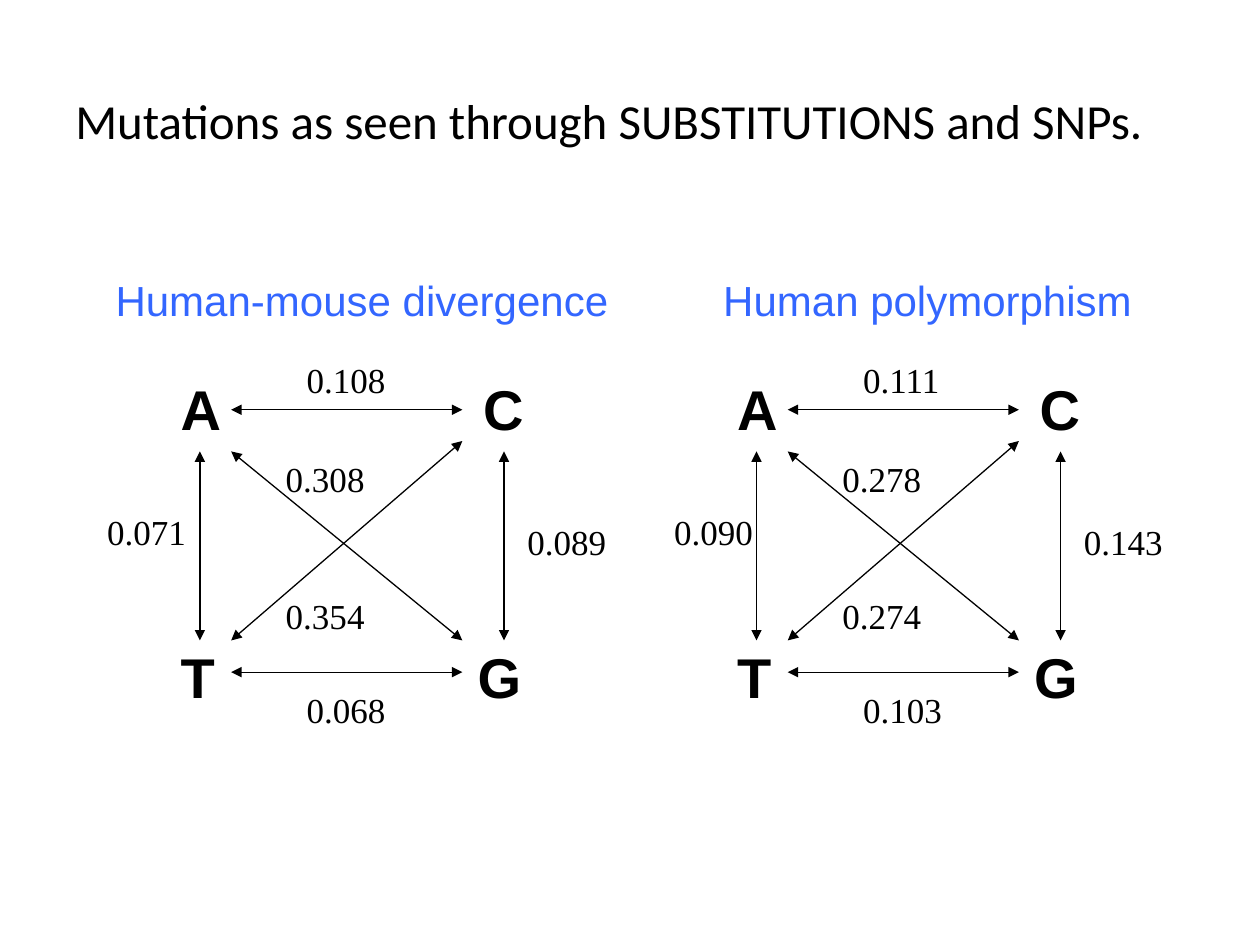
from lxml import etree
from pptx import Presentation
from pptx import util as u
from pptx.dml.color import RGBColor
from pptx.enum import shapes
from pptx.oxml import ns

BLACK = RGBColor(0x00, 0x00, 0x00)
BLUE = RGBColor(0x33, 0x66, 0xFF)

presentation = Presentation()
presentation.slide_width, presentation.slide_height = u.Cm(25.4), u.Cm(19.05)
slide = presentation.slides.add_slide(presentation.slide_layouts[6])


def add_text(wording, left, top, width, height, size, font, color=BLACK, bold=False):
    box = slide.shapes.add_textbox(u.Cm(left), u.Cm(top), u.Cm(width), u.Cm(height))
    box.text_frame.word_wrap = True
    run = box.text_frame.paragraphs[0].add_run()
    run.text = wording
    run.font.name = font
    run.font.size = u.Pt(size)
    run.font.bold = bold
    run.font.color.rgb = color


def add_double_arrow(x1, y1, x2, y2):
    arrow = slide.shapes.add_connector(
        shapes.MSO_CONNECTOR.STRAIGHT, u.Cm(x1), u.Cm(y1), u.Cm(x2), u.Cm(y2))
    arrow.line.color.rgb = BLACK
    arrow.line.width = u.Pt(0.75)
    line = arrow.line._get_or_add_ln()
    for end in ("a:headEnd", "a:tailEnd"):
        etree.SubElement(line, ns.qn(end), type="triangle")
    etree.SubElement(arrow._element.spPr, ns.qn("a:effectLst"))


# Horizontal places are measured from the left of each diagram
BASES = [("A", 0, 7.42), ("C", 6.1, 7.42), ("T", 0, 12.83), ("G", 5.99, 12.83)]
ARROWS = [
    (1.27, 8.26, 5.93, 8.26),    # A-C
    (1.27, 13.55, 5.93, 13.55),  # T-G
    (0.64, 9.1, 0.64, 12.91),    # A-T
    (6.77, 9.1, 6.77, 12.91),    # C-G
    (1.27, 12.91, 5.93, 8.89),   # T-C
    (1.27, 9.1, 5.93, 12.91),    # A-G
]
RATE_PLACES = [(2.54, 7.11), (2.54, 13.76), (6.99, 10.37), (2.12, 11.85), (2.12, 9.1)]

# Diagram left, heading, heading left, rates in RATE_PLACES order, A-T rate and its left
DIAGRAMS = [
    (3.39, "Human-mouse divergence", 2.08,
     ["0.108", "0.068", "0.089", "0.354", "0.308"], "0.071", 1.91),
    (14.61, "Human polymorphism", 14.33,
     ["0.111", "0.103", "0.143", "0.274", "0.278"], "0.090", 13.34),
]

# Title
add_text("Mutations as seen through SUBSTITUTIONS and SNPs.",
         1.27, 1.7, 22.66, 1.45, 28, "Calibri")

# Substitution diagrams
for left, heading, heading_left, rates, at_rate, at_left in DIAGRAMS:
    add_text(heading, heading_left, 5.41, 10.8, 1.27, 24, "Arial", BLUE)
    for base, x, y in BASES:
        add_text(base, left + x, y, 1.6, 1.55, 32, "Arial", bold=True)
    for x1, y1, x2, y2 in ARROWS:
        add_double_arrow(left + x1, y1, left + x2, y2)
    for rate, (x, y) in zip(rates, RATE_PLACES):
        add_text(rate, left + x, y, 2.2, 1.09, 20, "Times New Roman")
    add_text(at_rate, at_left, 10.16, 2.2, 1.09, 20, "Times New Roman")

presentation.save("out.pptx")
